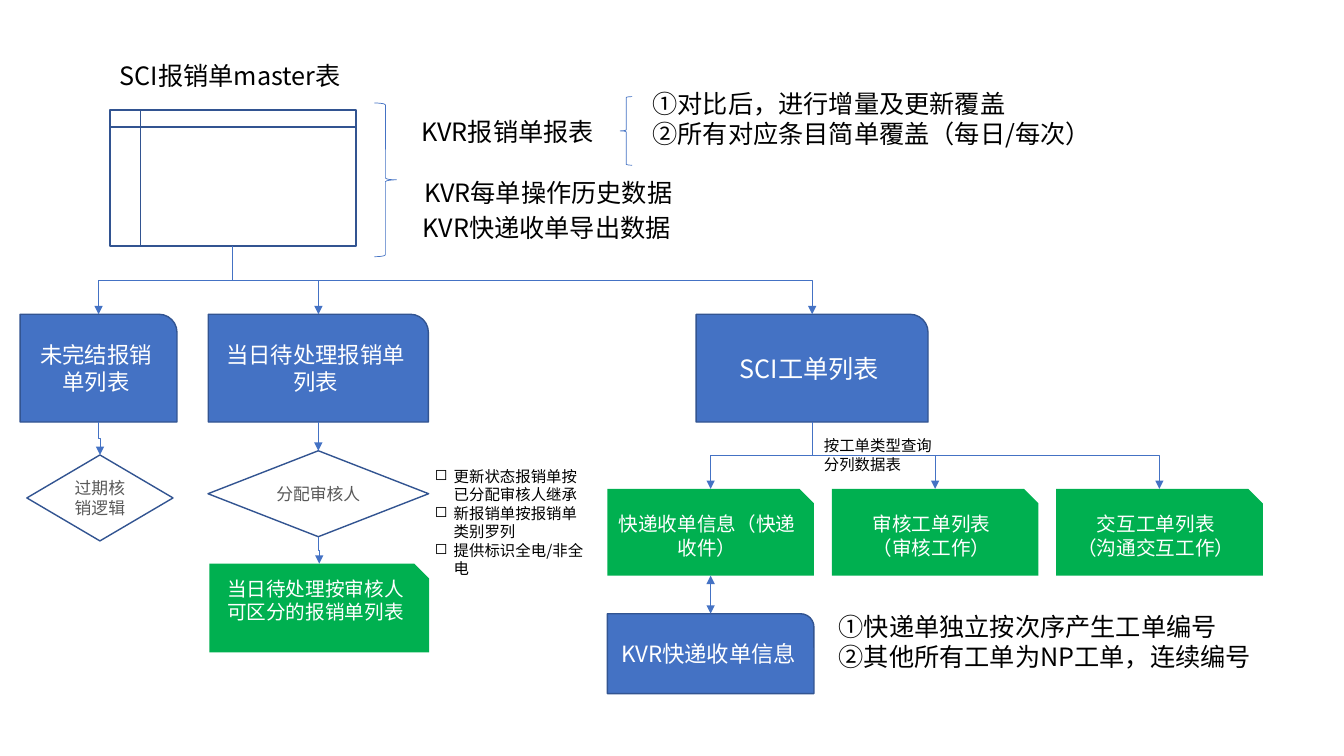
from lxml import etree
from pptx import Presentation
from pptx.dml.color import RGBColor
from pptx.enum.shapes import MSO_CONNECTOR, MSO_SHAPE
from pptx.enum.text import MSO_ANCHOR, MSO_AUTO_SIZE, PP_ALIGN
from pptx.oxml.ns import qn
from pptx.util import Pt

ROUND = MSO_SHAPE.ROUND_1_RECTANGLE
SNIP = MSO_SHAPE.SNIP_1_RECTANGLE
DIAMOND = MSO_SHAPE.DIAMOND
STORE = MSO_SHAPE.FLOWCHART_INTERNAL_STORAGE
LEFT_BRACE = MSO_SHAPE.LEFT_BRACE
RIGHT_BRACE = MSO_SHAPE.RIGHT_BRACE
ELBOW = MSO_CONNECTOR.ELBOW
STRAIGHT = MSO_CONNECTOR.STRAIGHT
CENTER = PP_ALIGN.CENTER
LEFT = PP_ALIGN.LEFT
MIDDLE = MSO_ANCHOR.MIDDLE
TOP = MSO_ANCHOR.TOP
GROW = MSO_AUTO_SIZE.SHAPE_TO_FIT_TEXT

FONT = "Noto Sans CJK SC"
BLUE, NAVY, GREEN = "4472C4", "325491", "00B050"
WHITE, BLACK, GRAY = "FFFFFF", "000000", "595959"
hue = RGBColor.from_string

deck = Presentation()
deck.slide_width, deck.slide_height = Pt(960), Pt(540)
shapes = deck.slides.add_slide(deck.slide_layouts[6]).shapes


def write(shape, text, size=18, color=BLACK, align=LEFT, anchor=TOP, bullet=None):
    frame = shape.text_frame
    frame.word_wrap = True
    frame.vertical_anchor = anchor
    frame.text = text
    for para in frame.paragraphs:
        para.alignment = align
        font = para.runs[0].font
        font.size, font.name = Pt(size), FONT
        font.color.rgb = hue(color)
        etree.SubElement(para.runs[0]._r.rPr, qn("a:ea"), typeface=FONT)
        if bullet:
            props = para._p.get_or_add_pPr()
            props.set("marL", str(Pt(13.5)))
            props.set("indent", str(Pt(-13.5)))
            etree.SubElement(props, qn("a:buChar"), char=bullet)


def draw(kind, x, y, w, h, fill=None, edge=None, width=1):
    shape = shapes.add_shape(kind, Pt(x), Pt(y), Pt(w), Pt(h))
    shape.shadow.inherit = False
    if fill:
        shape.fill.solid()
        shape.fill.fore_color.rgb = hue(fill)
    else:
        shape.fill.background()
    if edge:
        shape.line.color.rgb = hue(edge)
        shape.line.width = Pt(width)
    else:
        shape.line.fill.background()
    return shape


draw(STORE, 78.5, 78.5, 175.7, 97.2, edge=NAVY)
draw(RIGHT_BRACE, 267.4, 73.6, 15.8, 109.8, edge=BLUE, width=0.5)
draw(LEFT_BRACE, 443, 69, 8.6, 49, edge=BLUE, width=0.5)

labels = [
    ("SCI报销单master表", 78.5, 39.6, 188.6, 28.8, 18, None),
    ("KVR报销单报表", 294, 79.9, 144, 28.8, 18, None),
    ("KVR每单操作历史数据", 296, 123.1, 203, 28.8, 18, None),
    ("KVR快递收单导出数据", 294.8, 148.3, 203, 28.8, 18, None),
    ("①对比后，进行增量及更新覆盖\n②所有对应条目简单覆盖（每日/每次）", 459, 59.4, 329.8, 51, 18, None),
    ("按工单类型查询分列数据表", 581.4, 308.2, 94.3, 33.8, 11, None),
    ("更新状态报销单按已分配审核人继承\n新报销单按报销单类别罗列\n提供标识全电/非全电",
     303.5, 329.8, 126.7, 87, 11, "◻"),
    ("①快递单独立按次序产生工单编号\n②其他所有工单为NP工单，连续编号", 592, 433, 329.8, 51, 18, None),
]
for text, x, y, w, h, size, mark in labels:
    label = shapes.add_textbox(Pt(x), Pt(y), Pt(w), Pt(h))
    write(label, text, size=size, bullet=mark)
    label.text_frame.auto_size = GROW

nodes = {}
steps = [
    ("open", ROUND, "未完结报销单列表", 14.4, 224.5, 112, 77, BLUE, NAVY, 16, WHITE),
    ("daily", ROUND, "当日待处理报销单\n列表", 148.8, 224.5, 157.2, 77, BLUE, NAVY, 16, WHITE),
    ("orders", ROUND, "SCI工单列表", 497.3, 224.5, 165.6, 77, BLUE, NAVY, 18, WHITE),
    ("parcel", ROUND, "KVR快递收单信息", 433.8, 438.4, 147.6, 57, BLUE, NAVY, 16, WHITE),
    ("expire", DIAMOND, "过期核销逻辑", 19.2, 325, 104.4, 61.4, None, NAVY, 12, GRAY),
    ("assign", DIAMOND, "分配审核人", 148.6, 322, 157.6, 61.4, None, NAVY, 12, GRAY),
    ("review", SNIP, "当日待处理按审核人可区分的报销单列表", 149.5, 402.6, 157, 63.4, GREEN, None, 14, WHITE),
]
for i, text in enumerate(["快递收单信息（快递收件）", "审核工单列表\n（审核工作）", "交互工单列表\n（沟通交互工作）"]):
    steps.append((f"type{i}", SNIP, text, 433.8 + 160.3 * i, 349.2, 147.6, 62, GREEN, None, 14, WHITE))
for key, kind, text, x, y, w, h, fill, edge, size, color in steps:
    nodes[key] = draw(kind, x, y, w, h, fill, edge)
    write(nodes[key], text, size=size, color=color, align=CENTER, anchor=MIDDLE)
nodes["review"].text_frame.margin_bottom = Pt(20)

lines = []
bends = [(166.2, 175.7, x, 224.5) for x in (70.4, 227.4, 580.1)]
bends += [(580.1, 301.5, 507.6 + 160.3 * i, 349.2) for i in range(3)]
bends += [(70.4, 301.5, 71.4, 325), (227.4, 383.4, 228, 402.6)]
for x1, y1, x2, y2 in bends:
    mx, my = (x1 + x2) / 2, (y1 + y2) / 2
    side = 1 if x2 < x1 else -1
    run, rise = side * (y2 - y1) / 2, abs(x2 - x1) / 2
    line = shapes.add_connector(ELBOW, Pt(mx - run), Pt(my - rise), Pt(mx + run), Pt(my + rise))
    turn = 90 if side == 1 else 270
    line._element.spPr.find(qn("a:xfrm")).set("rot", str(turn * 60000))
    lines.append((line, ["tailEnd"]))

for start, end, heads in [("daily", "assign", ["tailEnd"]), ("type0", "parcel", ["headEnd", "tailEnd"])]:
    line = shapes.add_connector(STRAIGHT, 0, 0, 0, 0)
    line.begin_connect(nodes[start], 2)
    line.end_connect(nodes[end], 0)
    lines.append((line, heads))

for line, heads in lines:
    line.line.color.rgb = hue(BLUE)
    line.line.width = Pt(0.5)
    for head in heads:
        etree.SubElement(line.line._get_or_add_ln(), qn(f"a:{head}"), type="triangle")
    etree.SubElement(line._element.spPr, qn("a:effectLst"))

deck.save("out.pptx")
